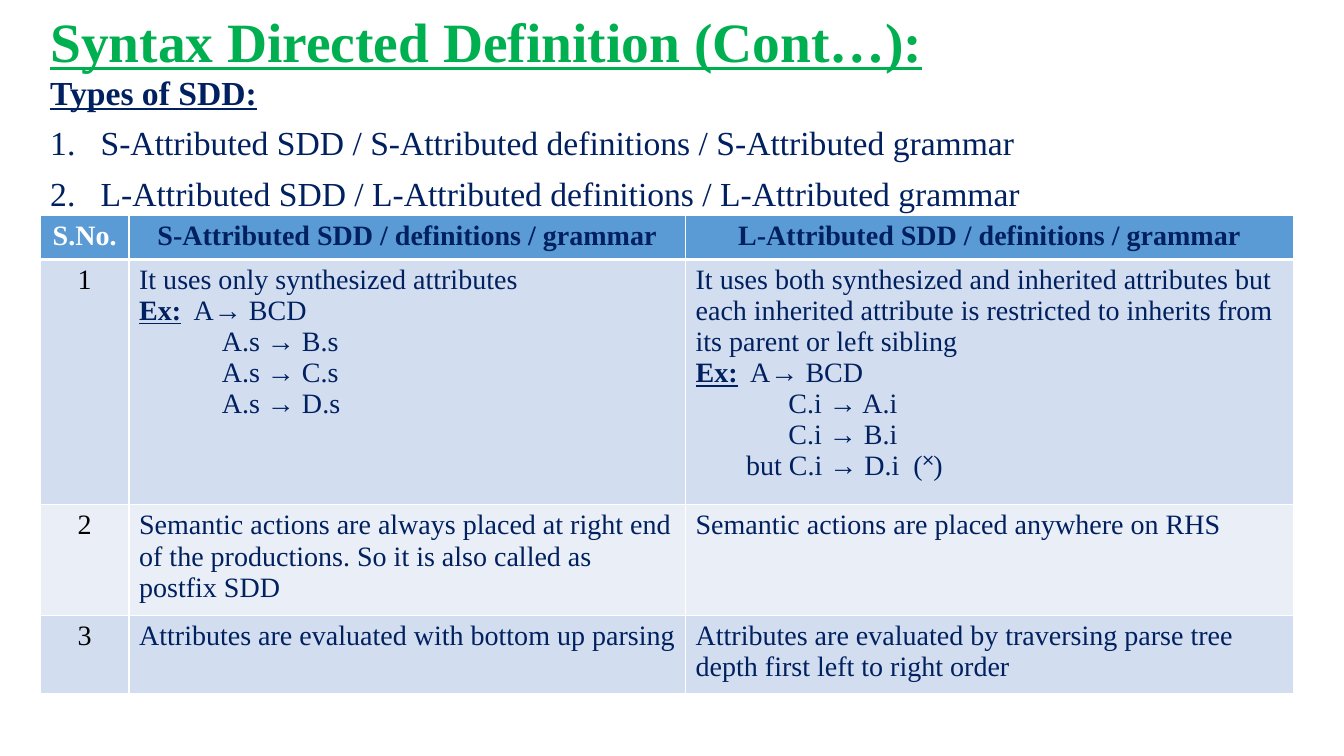
from lxml.etree import SubElement
from pptx import Presentation
from pptx.dml.color import RGBColor
from pptx.enum.text import MSO_ANCHOR, PP_ALIGN
from pptx.oxml import parse_xml
from pptx.oxml.ns import nsdecls, qn
from pptx.util import Inches, Pt

FONT = "Times New Roman"
GREEN = RGBColor(0x00, 0xB0, 0x50)
NAVY = RGBColor(0x00, 0x20, 0x60)
BLACK = RGBColor(0x00, 0x00, 0x00)
WHITE = RGBColor(0xFF, 0xFF, 0xFF)
BLUE = RGBColor(0x5B, 0x9B, 0xD5)
BANDS = [RGBColor(0xD2, 0xDE, 0xEF), RGBColor(0xEA, 0xEF, 0xF7)]

TITLE = "Syntax Directed Definition (Cont…):"
TYPES = [f"{k}-Attributed SDD / {k}-Attributed definitions / {k}-Attributed grammar"
         for k in "SL"]
HEADS = ["S.No."] + [f"{k}-Attributed SDD / definitions / grammar" for k in "SL"]
RULE = "  A→ BCD"
ROWS = [
    ([("It uses only synthesized attributes", 0), (RULE, 0),
      ("A.s → B.s", 0.82), ("A.s → C.s", 0.82), ("A.s → D.s", 0.82)],
     [("It uses both synthesized and inherited attributes but each inherited "
       "attribute is restricted to inherits from its parent or left sibling", 0),
      (RULE, 0), ("C.i → A.i", 0.92), ("C.i → B.i", 0.92),
      ("but C.i → D.i  (˟)", 0.5)]),
    ([("Semantic actions are always placed at right end of the productions. "
       "So it is also called as postfix SDD", 0)],
     [("Semantic actions are placed anywhere on RHS", 0)]),
    ([("Attributes are evaluated with bottom up parsing", 0)],
     [("Attributes are evaluated by traversing parse tree depth first "
       "left to right order", 0)]),
]
COLS = [0.88, 5.52, 6.03]
HIGHS = [0.41, 2.26, 1.03, 0.71]


def style(run, size, color, strong=False, under=False):
    """Format one run of text."""
    font = run.font
    font.name, font.size, font.bold = FONT, Pt(size), strong
    font.underline = under
    font.color.rgb = color


def add_box(slide, left, top, width, height):
    """Add a wrapping text box and return its text frame."""
    box = slide.shapes.add_textbox(*map(Inches, (left, top, width, height)))
    box.text_frame.word_wrap = True
    return box.text_frame


def add_title(slide, left, top, width, height):
    """Place the slide heading."""
    frame = add_box(slide, left, top, width, height)
    frame.vertical_anchor = MSO_ANCHOR.MIDDLE
    frame.text = TITLE
    para = frame.paragraphs[0]
    para.line_spacing = 0.9
    style(para.runs[0], 39.6, GREEN, True, True)


def add_types(slide, left, top, width, height):
    """Place the subheading and the numbered list of types."""
    frame = add_box(slide, left, top, width, height)
    frame.text = "\n".join(["Types of SDD:"] + TYPES)
    for i, para in enumerate(frame.paragraphs):
        para.alignment = PP_ALIGN.JUSTIFY
        para.line_spacing, para.space_before = 0.9, Pt(10)
        style(para.runs[0], 24, NAVY, i == 0, i == 0)
        if i:
            props = para._p.get_or_add_pPr()
            props.set("marL", str(Inches(0.5)))
            props.set("indent", str(Inches(-0.5)))
            SubElement(props, qn("a:buFont")).set("typeface", "+mj-lt")
            SubElement(props, qn("a:buAutoNum")).set("type", "arabicPeriod")


def paint(cell, color, base):
    """Fill a cell and draw its white borders, the bottom one base points wide."""
    cell.fill.solid()
    cell.fill.fore_color.rgb = color
    props = cell._tc.get_or_add_tcPr()
    for i, side in enumerate("LRTB"):
        wide = Pt(base if side == "B" else 1)
        props.insert(i, parse_xml(
            f'<a:ln{side} {nsdecls("a")} w="{wide}"><a:solidFill>'
            f'<a:srgbClr val="{WHITE}"/></a:solidFill></a:ln{side}>'))


def write_mid(cell, text, color, strong=False):
    """Write one centred line in a cell."""
    cell.text_frame.text = text
    para = cell.text_frame.paragraphs[0]
    para.alignment = PP_ALIGN.CENTER
    style(para.runs[0], 20, color, strong)


def write_body(cell, lines):
    """Write lines, each with its own indent, in a cell."""
    frame = cell.text_frame
    frame.text = "\n".join("Ex:" if text == RULE else text for text, _ in lines)
    for para, (text, indent) in zip(frame.paragraphs, lines):
        style(para.runs[0], 20, NAVY, text == RULE, text == RULE)
        if text == RULE:
            run = para.add_run()
            run.text = RULE
            style(run, 20, NAVY)
        if indent:
            para._p.get_or_add_pPr().set("marL", str(Inches(indent)))


def add_grid(slide, left, top):
    """Place the table that compares both types."""
    size = map(Inches, (left, top, sum(COLS), sum(HIGHS)))
    grid = slide.shapes.add_table(len(HIGHS), len(COLS), *size).table
    for col, width in zip(grid.columns, COLS):
        col.width = Inches(width)
    for row, height in zip(grid.rows, HIGHS):
        row.height = Inches(height)
    for j, head in enumerate(HEADS):
        write_mid(grid.cell(0, j), head, NAVY if j else WHITE, True)
        paint(grid.cell(0, j), BLUE, 3)
    for i, sides in enumerate(ROWS, 1):
        write_mid(grid.cell(i, 0), str(i), BLACK)
        for j, lines in enumerate(sides, 1):
            write_body(grid.cell(i, j), lines)
        for j in range(len(COLS)):
            paint(grid.cell(i, j), BANDS[(i - 1) % 2], 1)


def main():
    """Build and save the slide."""
    deck = Presentation()
    deck.slide_width, deck.slide_height = Inches(13.33), Inches(7.5)
    slide = deck.slides.add_slide(deck.slide_layouts[6])
    add_title(slide, 0.4, 0.16, 12.02, 0.57)
    add_types(slide, 0.4, 0.71, 12.43, 6.79)
    add_grid(slide, 0.4, 2.14)
    deck.save("out.pptx")


if __name__ == "__main__":
    main()
